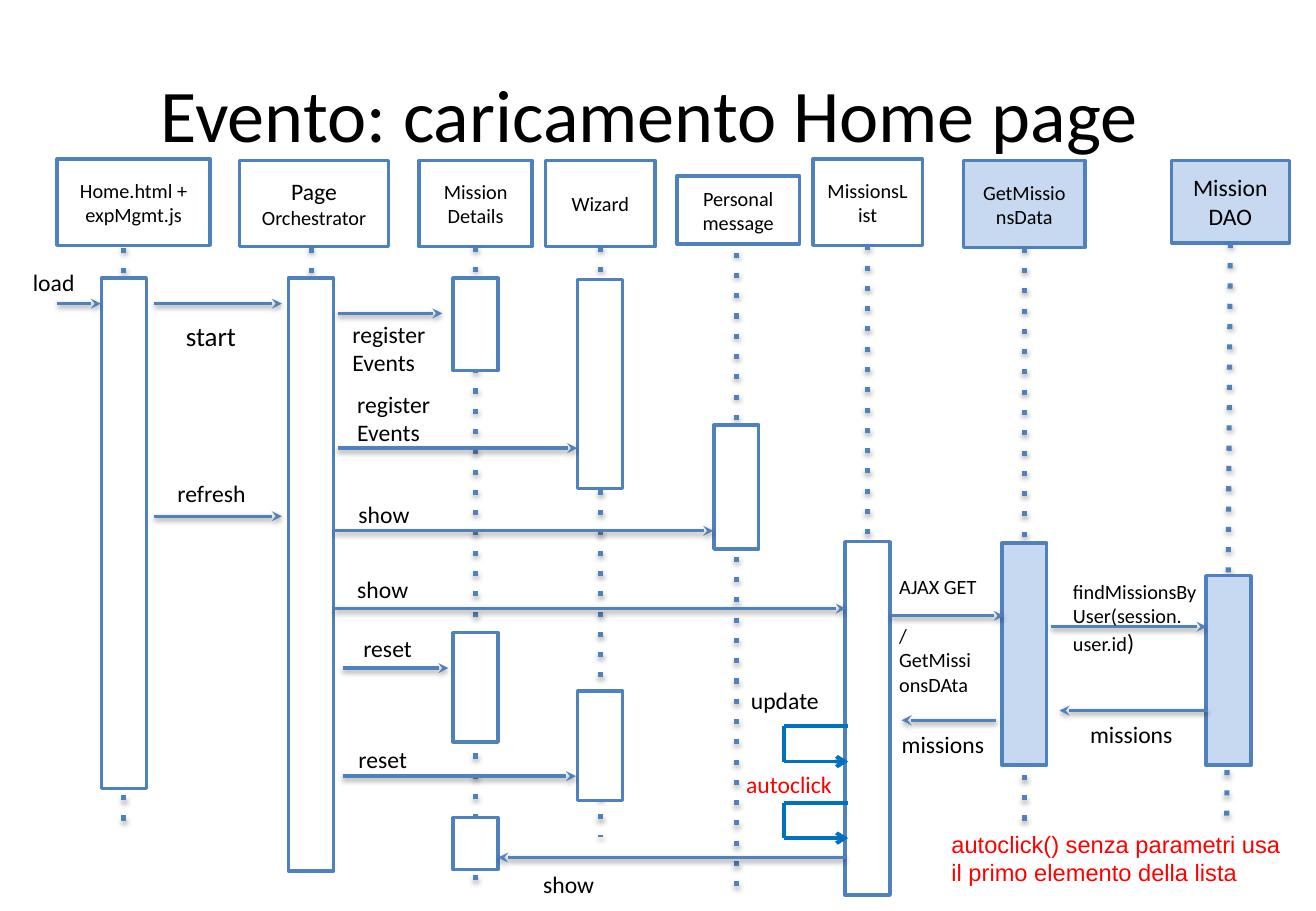
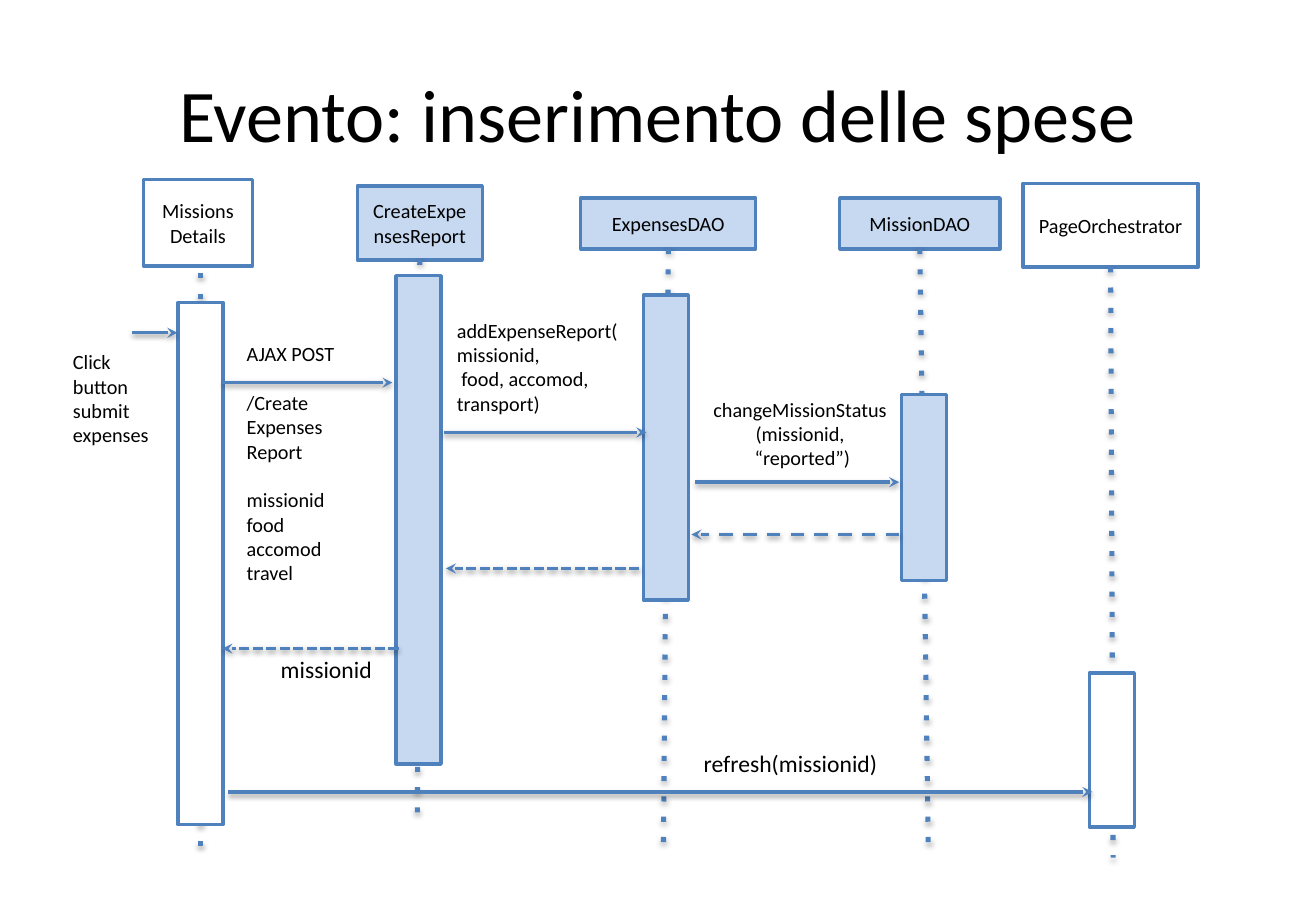
from lxml import etree
from pptx import Presentation
from pptx.dml.color import RGBColor
from pptx.enum import shapes as es, text as et
from pptx.oxml.ns import qn
from pptx.util import Inches, Pt

HUES = {"edge": "4F81BD", "server": "C6D9F1", "client": "FFFFFF",
        "loop": "0070C0", "ink": "000000", "alert": "FF0000"}
BAR = 0.37    # width of an activation bar
GAP = 14.6    # one empty line of 12 pt text


def hue(key):
    return RGBColor.from_string(HUES[key])


def sub(node, tag, **attrs):
    return etree.SubElement(node, qn(tag), attrs)


# Text: a paragraph is a string, or a list of (text, size) runs
def style(font, size, ink, face):
    font.size, font.name = Pt(size), face
    font.color.rgb = hue(ink)


def write(frame, paras, size=12, ink="ink", face="Calibri", center=False,
          middle=False, gaps=()):
    frame.word_wrap = True
    frame.margin_left = frame.margin_right = Inches(0.12)
    frame.margin_top = frame.margin_bottom = Inches(0.06)
    frame.vertical_anchor = et.MSO_ANCHOR.MIDDLE if middle else et.MSO_ANCHOR.TOP
    for i, item in enumerate(paras):
        para = frame.paragraphs[0] if i == 0 else frame.add_paragraph()
        para.alignment = et.PP_ALIGN.CENTER if center else et.PP_ALIGN.LEFT
        if i in gaps:
            para.space_before = Pt(GAP)
        if isinstance(item, str):
            para.text = item
            style(para.font, size, ink, face)
        else:
            for words, pts in item:
                run = para.add_run()
                run.text = words
                style(run.font, pts, ink, face)


def label(slide, box, *paras, **look):
    area = slide.shapes.add_textbox(*map(Inches, box))
    write(area.text_frame, paras, **look)


def title(slide, words):
    label(slide, (0.54, 0.3, 9.75, 1.25), words, size=44, center=True, middle=True)


# Boxes and lines
def rect(slide, box, fill):
    shape = slide.shapes.add_shape(es.MSO_SHAPE.RECTANGLE, *map(Inches, box))
    shape.shadow.inherit = False
    shape.fill.solid()
    shape.fill.fore_color.rgb = hue(fill)
    shape.line.color.rgb = hue("edge")
    shape.line.width = Pt(2)
    return shape


def wire(slide, start, end, tail="stealth", dash=None, width=2, ink="edge",
         shade=38):
    line = slide.shapes.add_connector(
        es.MSO_CONNECTOR.STRAIGHT, *map(Inches, (*start, *end)))
    line.line.color.rgb = hue(ink)
    line.line.width = Pt(width)
    props = line.element.spPr
    stroke = props.find(qn("a:ln"))
    if dash:
        sub(stroke, "a:prstDash", val=dash)
    if tail:
        sub(stroke, "a:tailEnd", type=tail)
    effects = sub(props, "a:effectLst")
    if shade:
        drop = sub(effects, "a:outerShdw", blurRad="40000", dist="20000",
                   dir="5400000", rotWithShape="0")
        tint = sub(drop, "a:srgbClr", val=HUES["ink"])
        sub(tint, "a:alpha", val=str(shade * 1000))
    return line


# One participant: head, lifeline down to foot, bars as (top, height).
# Without a top point the lifeline hangs from the middle of the head.
def actor(slide, box, paras, foot, bars, fill="client", top=None, lean=0):
    x, y, w, h = box
    head = rect(slide, box, fill)
    write(head.text_frame, paras, center=True, middle=True)
    start = top or (x + w / 2, y + h)
    life = wire(slide, start, (start[0] + lean, foot), tail=None, dash="dot",
                width=3, shade=35)
    if not top:
        life.begin_connect(head, 2)
    axis = start[0] + lean / 2
    for y, h in bars:
        rect(slide, (axis - BAR / 2, y, BAR, h), fill)


# A call from a bar back to itself
def loop(slide, box):
    x, y, w, h = box
    spots = [(x + w, y), (x, y), (x, y + h), (x + w, y + h)]
    for i, tail in enumerate((None, None, "arrow")):
        wire(slide, spots[i], spots[i + 1], tail, width=2.25, ink="loop", shade=0)


def load(slide):
    title(slide, "Evento: caricamento Home page ")
    # Participants
    actor(slide, (0.47, 1.31, 1.26, 0.71), ["Home.html + expMgmt.js"], 6.88,
          [(2.29, 4.2)], top=(1.02, 2.04))
    actor(slide, (1.97, 1.32, 1.23, 0.71),
          [[("Page", 14)], [("Orchestrator", 12)]], 6.88,
          [(2.29, 4.88)], top=(2.56, 2.04))
    actor(slide, (3.45, 1.32, 0.93, 0.71), ["Mission\nDetails"], 7.37,
          [(2.29, 0.76), (5.21, 0.9), (6.73, 0.43)])
    actor(slide, (4.49, 1.32, 0.9, 0.71), ["Wizard"], 6.89,
          [(2.3, 1.72), (5.69, 0.9)])
    actor(slide, (5.57, 1.45, 1.01, 0.56), ["Personal", "message"], 7.4,
          [(3.5, 1.02)], top=(6.06, 2.08))
    actor(slide, (6.69, 1.31, 0.9, 0.71), ["MissionsList"], 6.88, [(4.46, 2.91)])
    actor(slide, (7.93, 1.32, 1, 0.72), ["GetMissionsData"], 6.8,
          [(4.47, 1.83)], "server")
    actor(slide, (9.64, 1.32, 0.97, 0.68), [[("Mission", 14)], [("DAO", 14)]],
          6.75, [(4.74, 1.56)], "server", lean=-0.03)
    # Messages: from x, to x, height
    for x, end, y in [
            (0.47, 0.83, 2.5), (1.27, 2.32, 2.5), (2.78, 3.64, 2.58),
            (2.78, 4.75, 3.69), (1.27, 2.32, 4.25), (2.75, 5.87, 4.37),
            (2.75, 6.96, 5.01), (7.33, 8.26, 5.07), (8.65, 9.93, 5.16),
            (2.82, 3.69, 5.5), (9.94, 8.72, 5.85), (8.2, 7.42, 5.93),
            (2.82, 4.74, 6.39), (6.96, 4.1, 7.06)]:
        wire(slide, (x, y), (end, y))
    for y in (5.98, 6.61):
        loop(slide, (6.45, y, 0.53, 0.29))
    # Message names: left, top, width
    for x, y, w, words in [
            (0.15, 2.15, 0.69, "load"), (2.78, 2.57, 0.86, "registerEvents"),
            (2.82, 3.15, 0.86, "registerEvents"), (1.34, 3.88, 0.86, "refresh"),
            (2.83, 4.06, 0.86, "show"), (2.82, 4.67, 0.86, "show"),
            (2.87, 5.16, 0.73, "reset"), (6.06, 5.59, 0.84, "update"),
            (8.85, 5.87, 1.08, "missions"), (7.3, 5.95, 1.08, "missions"),
            (2.83, 6.07, 1.08, "reset"), (4.35, 7.1, 1.23, "show")]:
        label(slide, (x, y, w, 0.34), words, size=14)
    label(slide, (1.41, 2.57, 0.86, 0.49), "start", size=16)
    label(slide, (7.28, 4.67, 0.91, 1.05), "AJAX GET", "/GetMissionsDAta", gaps=[1])
    label(slide, (8.71, 4.71, 1.32, 0.65), "findMissionsBy\nUser(session.",
          [("user.id", 12), (")", 14)])
    # Autoclick remarks
    label(slide, (6.02, 6.28, 1.01, 0.35), "autoclick", size=14, ink="alert")
    label(slide, (7.71, 6.77, 3.12, 0.59),
          "autoclick() senza parametri usa\nil primo elemento della lista",
          size=14, ink="alert", face="Arial")


def insert(slide):
    title(slide, "Evento: inserimento delle spese")
    # Participants
    actor(slide, (1.18, 1.48, 0.9, 0.71), ["Missions Details"], 7.09,
          [(2.49, 4.3)], top=(1.65, 2.25))
    actor(slide, (2.94, 1.53, 1.03, 0.61), ["CreateExpensesReport"], 6.8,
          [(2.27, 4.02)], "server", lean=-0.02)
    actor(slide, (4.78, 1.63, 1.44, 0.42), ["ExpensesDAO"], 6.96,
          [(2.43, 2.51)], "server", lean=-0.04)
    actor(slide, (6.91, 1.63, 1.32, 0.42), ["MissionDAO"], 7.02,
          [(3.25, 1.53)], "server", lean=0.07)
    actor(slide, (8.42, 1.51, 1.44, 0.69), ["PageOrchestrator"], 7.06,
          [(5.54, 1.27)], lean=0.02)
    # Calls and returns: from x, to x, height, dash
    for x, end, y, dash in [
            (1.09, 1.46, 2.74, None), (1.83, 3.23, 3.15, None),
            (3.65, 5.32, 3.56, None), (5.72, 7.4, 3.97, None),
            (7.4, 5.69, 4.4, "dash"), (5.26, 3.67, 4.68, "sysDash"),
            (3.28, 1.83, 5.34, "sysDash"), (1.88, 8.99, 6.52, None)]:
        wire(slide, (x, y), (end, y), dash=dash)
    # Message names
    label(slide, (0.48, 2.82, 1.09, 0.84), "Click\nbutton", "submit expenses")
    label(slide, (1.91, 2.75, 1.02, 2.32), "AJAX POST",
          "/Create\nExpenses\nReport", "missionid", "food", "accomod", "travel",
          gaps=[1, 2])
    label(slide, (3.64, 2.56, 1.84, 1),
          "addExpenseReport(\nmissionid,\n food, accomod, transport)")
    label(slide, (5.72, 3.21, 1.73, 0.84),
          "changeMissionStatus\n(missionid,\n “reported”)", center=True)
    label(slide, (2.19, 5.33, 0.99, 0.37), "missionid", size=14, center=True)
    label(slide, (5.61, 6.11, 1.79, 0.37), "refresh(missionid)", size=14,
          center=True)


def main():
    deck = Presentation()
    deck.slide_width, deck.slide_height = Inches(10.83), Inches(7.5)
    for build in (load, insert):
        build(deck.slides.add_slide(deck.slide_layouts[6]))
    deck.save("out.pptx")


if __name__ == "__main__":
    main()
